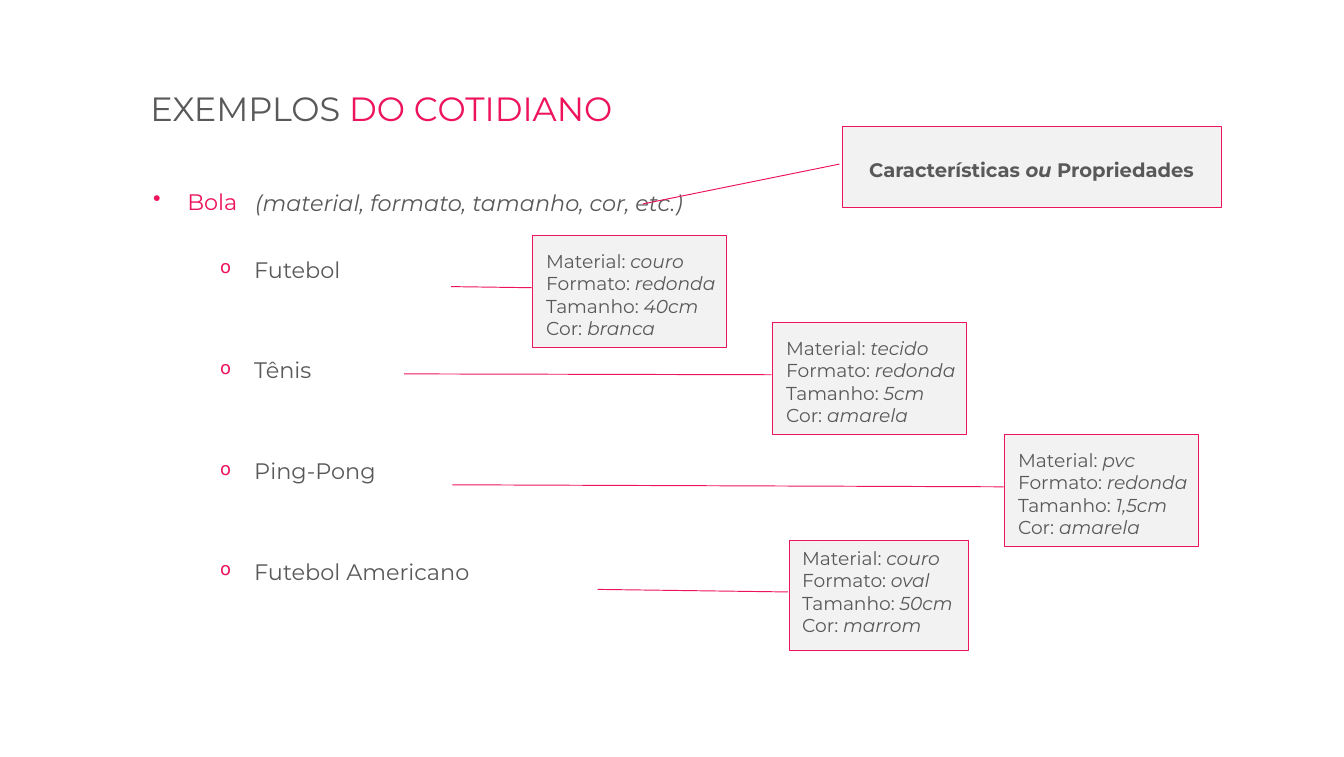
from dataclasses import dataclass

from lxml.etree import SubElement
from pptx import Presentation
from pptx.dml.color import RGBColor
from pptx.enum.shapes import MSO_SHAPE as Shape
from pptx.enum.text import MSO_ANCHOR as Anchor, MSO_AUTO_SIZE as AutoSize, PP_ALIGN as Align
from pptx.oxml.ns import qn
from pptx.util import Emu, Inches, Pt

PX_PER_INCH = 134.4
FONT = "Montserrat"
COLORS = {"text": "595959", "accent": "ED145B", "panel": "F2F2F2"}


@dataclass
class Area:
    left: int
    top: int
    width: int
    height: int


@dataclass
class Item:
    text: str
    level: int
    bullet: str
    bullet_size: int
    indent: int
    hanging: int
    space_before: float
    color: str


@dataclass
class Callout:
    area: Area
    leader: tuple[float, float]  # end of the leader: y, x as shares of the box
    lines: list[list[tuple[str, bool]]]  # spans with their italic flag
    anchor: Anchor = Anchor.MIDDLE
    size: float = 10
    bold: bool = False
    align: Align = Align.LEFT


def px(length: int) -> Emu:
    return Emu(round(length * 914400 / PX_PER_INCH))


def color(name: str) -> RGBColor:
    return RGBColor.from_string(COLORS[name])


def bounds(area: Area) -> tuple[Emu, Emu, Emu, Emu]:
    return px(area.left), px(area.top), px(area.width), px(area.height)


def style(font, size: float, name: str = "text") -> None:
    font.name, font.size = FONT, Pt(size)
    font.color.rgb = color(name)


def ball(material: str, shape: str, size: str, tint: str) -> list[list[tuple[str, bool]]]:
    values = {"Material": material, "Formato": shape, "Tamanho": size, "Cor": tint}
    return [[(f"{label}: ", False), (value, True)] for label, value in values.items()]


def add_bullet(para, item: Item) -> None:
    props = para._p.get_or_add_pPr()
    props.set("marL", str(px(item.indent)))
    props.set("indent", str(-px(item.hanging)))
    tint = SubElement(props, qn("a:buClr"))
    SubElement(tint, qn("a:srgbClr"), val=COLORS["accent"])
    SubElement(props, qn("a:buSzPct"), val=str(item.bullet_size * 1000))
    SubElement(props, qn("a:buChar"), char=item.bullet)


def add_text_box(page, area: Area):
    frame = page.shapes.add_textbox(*bounds(area)).text_frame
    frame.word_wrap = True
    return frame


def add_list(page, area: Area, items: list[Item]) -> None:
    frame = add_text_box(page, area)
    for index, item in enumerate(items):
        para = frame.add_paragraph() if index else frame.paragraphs[0]
        para.text = item.text
        para.level = item.level
        if index:
            para.space_before = Pt(item.space_before)
        add_bullet(para, item)
        style(para.font, 12, item.color)


def add_callout(page, callout: Callout) -> None:
    box = page.shapes.add_shape(Shape.LINE_CALLOUT_1, *bounds(callout.area))
    box.shadow.inherit = False
    for index, value in enumerate((0.47, -0.007, *callout.leader)):
        box.adjustments[index] = value
    box.fill.solid()
    box.fill.fore_color.rgb = color("panel")
    box.line.color.rgb = color("accent")
    box.line.width = Pt(0.5)
    frame = box.text_frame
    frame.word_wrap = False
    frame.vertical_anchor = callout.anchor
    frame.margin_bottom = 0
    for index, spans in enumerate(callout.lines):
        para = frame.add_paragraph() if index else frame.paragraphs[0]
        para.alignment = callout.align
        style(para.font, callout.size)
        para.font.bold = callout.bold
        for text, italic in spans:
            span = para.add_run()
            span.text = text
            span.font.italic = italic


def add_title(page, area: Area, spans: list[tuple[str, str]]) -> None:
    title = page.shapes.title
    title.left, title.top, title.width, title.height = bounds(area)
    frame = title.text_frame
    frame.auto_size = AutoSize.SHAPE_TO_FIT_TEXT
    frame.vertical_anchor = Anchor.TOP
    para = frame.paragraphs[0]
    para.alignment = Align.LEFT
    for text, name in spans:
        span = para.add_run()
        span.text = text
        style(span.font, 18, name)


def sport(name: str, space_before: float = 39.6) -> Item:
    return Item(name, 2, "o", 80, 168, 34, space_before, "text")


ITEMS = [
    Item("Bola", 1, "•", 100, 101, 34, 0, "accent"),
    sport("Futebol", 22),
    sport("Tênis"),
    sport("Ping-Pong"),
    sport("Futebol Americano"),
]

CALLOUTS = [
    Callout(Area(533, 235, 194, 112), (0.46, -0.422), ball("couro", "redonda", "40cm", "branca")),
    Callout(Area(773, 322, 194, 112), (0.462, -1.901), ball("tecido", "redonda", "5cm", "amarela")),
    Callout(Area(1005, 434, 194, 112), (0.452, -2.849), ball("pvc", "redonda", "1,5cm", "amarela")),
    Callout(Area(789, 540, 179, 110), (0.447, -1.069), ball("couro", "oval", "50cm", "marrom"),
            anchor=Anchor.TOP),
    Callout(Area(842, 126, 379, 81), (0.962, -0.526),
            [[("Características ", False), ("ou ", True), ("Propriedades", False)]],
            size=10.5, bold=True, align=Align.CENTER),
]


def main() -> None:
    deck = Presentation()
    deck.slide_width, deck.slide_height = Inches(10), Inches(5.63)
    page = deck.slides.add_slide(deck.slide_layouts[5])

    # Title
    add_title(page, Area(137, 81, 562, 54), [("EXEMPLOS ", "text"), ("DO COTIDIANO", "accent")])

    # Kinds of ball, with the attributes beside the first line
    add_list(page, Area(73, 181, 495, 448), ITEMS)
    note = add_text_box(page, Area(242, 182, 710, 52)).paragraphs[0]
    note.text = "(material, formato, tamanho, cor, etc.)"
    style(note.font, 12)
    note.font.italic = True

    # Attribute values of each ball
    for callout in CALLOUTS:
        add_callout(page, callout)

    deck.save("out.pptx")


if __name__ == "__main__":
    main()
